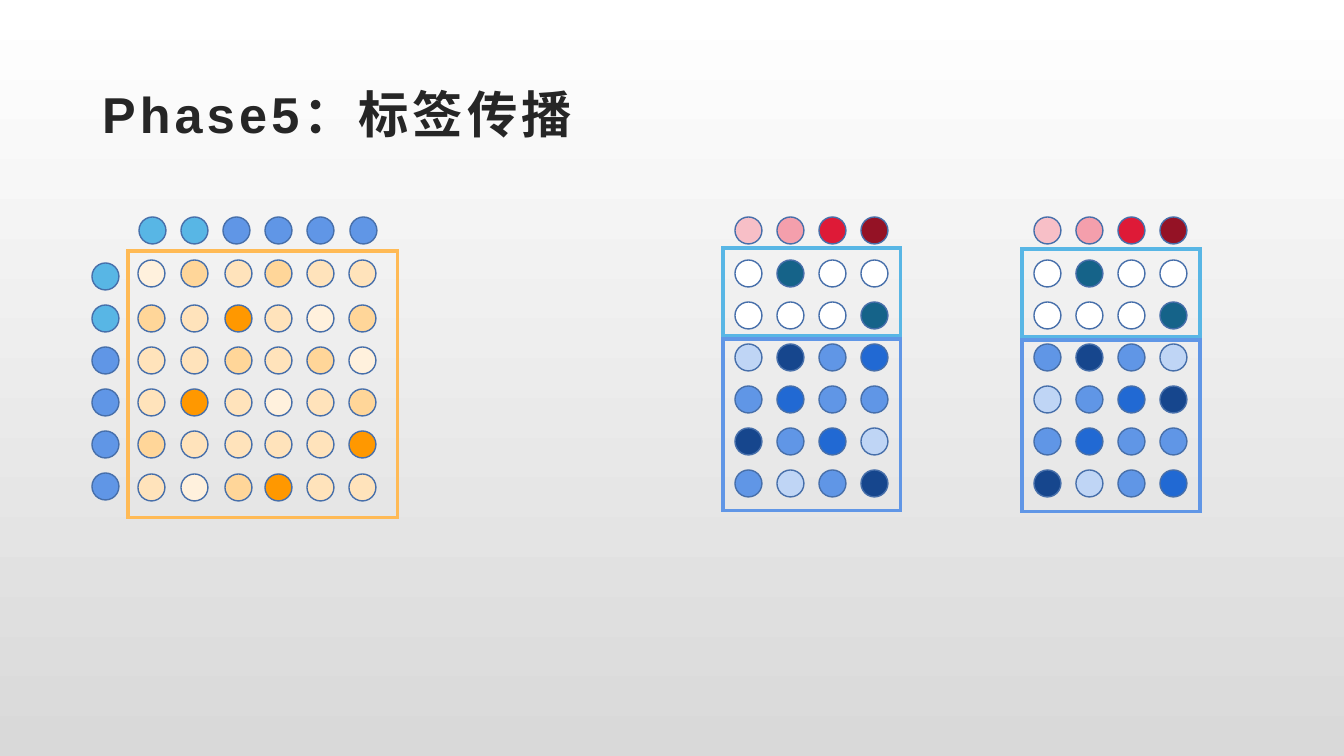
"""Build the label propagation slide with its three dot matrices."""
from lxml.etree import SubElement
from pptx import Presentation
from pptx.dml.color import RGBColor
from pptx.enum.shapes import MSO_SHAPE
from pptx.enum.text import MSO_ANCHOR, PP_ALIGN
from pptx.oxml.ns import qn
from pptx.util import Emu, Pt

SLIDE_WIDTH, SLIDE_HEIGHT = 1344, 756
EMU_PER_PX = 12192000 / SLIDE_WIDTH
DOT_SIZE = 27
STEP = 42
OUTLINE = "476FAA"
CYAN, BLUE, ORANGE = "58B6E5", "6096E6", "FFBA55"

DOT_COLOURS = {
    "a": "FFF1DD", "b": "FFE3BB", "c": "FFD699", "d": "FF9800",
    "p": "F7BFC7", "q": "F49FAC", "r": "DE1A37", "s": "941225",
    "w": "FFFFFF", "t": "156389", "x": CYAN,
    "l": "BFD5F5", "m": BLUE, "k": "2169D3", "n": "16468D",
}

AFFINITY_COLUMNS = (138, 181, 225, 265, 307, 349)
AFFINITY_ROWS = (260, 305, 347, 389, 431, 474)
AFFINITY = ("acbcbb", "cbdbac", "bbcbca", "bdbabc", "cbbbbd", "bacdbb")
NODE_COLUMNS = (139, 181, 223, 265, 307, 350)
NODES = "xxmmmm"

LABEL_ROWS = (217, 260, 302, 344, 386, 428, 470)
CLASSES = ("pqrs",)
KNOWN_LABELS = ("wtww", "wwwt")
LABELS_BEFORE = ("lnmk", "mkmm", "nmkl", "mlmn")
LABELS_AFTER = ("mnml", "lmkn", "mkmm", "nlmk")


def px(length):
    """Turn pixels into EMU."""
    return Emu(round(length * EMU_PER_PX))


def colour(value):
    """Turn a hex string into a colour."""
    return RGBColor.from_string(value)


def set_background(slide):
    """Fade the slide from white to grey, top to bottom."""
    fill = slide.background.fill
    fill.gradient()
    fill.gradient_angle = 270
    for stop, value in zip(fill.gradient_stops, ("FFFFFF", "D9D9D9")):
        stop.color.rgb = colour(value)


def set_title(slide, text):
    """Place and format the title."""
    title = slide.shapes.title
    title.left, title.top, title.width, title.height = map(px, (92, 40, 1159, 146))
    frame = title.text_frame
    frame.word_wrap = True
    frame.vertical_anchor = MSO_ANCHOR.MIDDLE
    paragraph = frame.paragraphs[0]
    paragraph.alignment = PP_ALIGN.LEFT
    run = paragraph.add_run()
    run.text = text
    run.font.name = "Arial"
    run.font.size = Pt(36)
    run.font.bold = True
    run.font.color.rgb = colour("262626")
    run._r.get_or_add_rPr().set("spc", "300")


def add_dot(shapes, left, top, fill):
    """Add one outlined dot."""
    dot = shapes.add_shape(MSO_SHAPE.OVAL, px(left), px(top), px(DOT_SIZE), px(DOT_SIZE))
    dot.shadow.inherit = False
    dot.fill.solid()
    dot.fill.fore_color.rgb = colour(fill)
    dot.line.color.rgb = colour(OUTLINE)
    dot.line.width = Pt(1)


def add_dots(slide, columns, rows, codes):
    """Add a group of dots, one per colour code."""
    group = slide.shapes.add_group_shape()
    for top, row_codes in zip(rows, codes):
        for left, code in zip(columns, row_codes):
            add_dot(group.shapes, left, top, DOT_COLOURS[code])


def add_frame(slide, left, top, width, height, line):
    """Add an unfilled rectangle with sharp corners around dots."""
    frame = slide.shapes.add_shape(
        MSO_SHAPE.RECTANGLE, px(left), px(top), px(width), px(height))
    frame.shadow.inherit = False
    frame.fill.background()
    frame.line.color.rgb = colour(line)
    frame.line.width = Pt(2.25)
    outline = frame.line._get_or_add_ln()
    SubElement(outline, qn("a:miter")).set("lim", "800000")


def add_affinity_matrix(slide):
    """Add the orange matrix with its node row and node column."""
    add_dots(slide, AFFINITY_COLUMNS, AFFINITY_ROWS, AFFINITY)
    add_dots(slide, (92,), range(263, 500, STEP), NODES)
    add_dots(slide, NODE_COLUMNS, (217,), (NODES,))
    add_frame(slide, 128, 251, 270, 267, ORANGE)


def add_label_matrix(slide, left, top, labels):
    """Add a label matrix: known labels, classes and propagated labels."""
    columns = range(left + 12, left + 12 + 4 * STEP, STEP)
    add_dots(slide, columns, LABEL_ROWS[1:3], KNOWN_LABELS)
    add_dots(slide, columns, LABEL_ROWS[:1], CLASSES)
    add_dots(slide, columns, LABEL_ROWS[3:], labels)
    add_frame(slide, left, top, 178, 88, CYAN)
    add_frame(slide, left, top + 91, 178, 172, BLUE)


def main():
    """Build and save the slide."""
    presentation = Presentation()
    presentation.slide_width = px(SLIDE_WIDTH)
    presentation.slide_height = px(SLIDE_HEIGHT)
    slide = presentation.slides.add_slide(presentation.slide_layouts[5])
    set_background(slide)
    set_title(slide, "Phase5：标签传播")
    add_label_matrix(slide, 723, 248, LABELS_BEFORE)
    add_affinity_matrix(slide)
    add_label_matrix(slide, 1022, 249, LABELS_AFTER)
    presentation.save("out.pptx")


if __name__ == "__main__":
    main()
